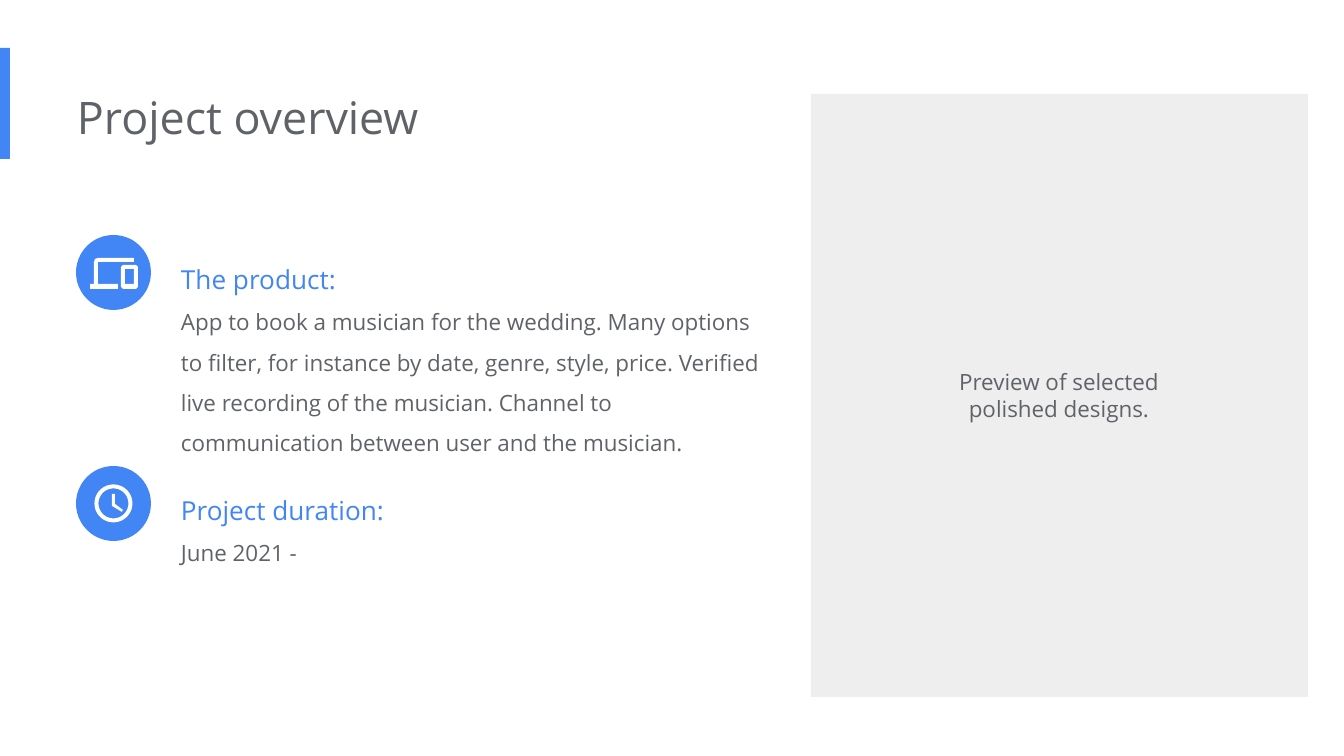
from math import cos, pi, sin

from pptx import Presentation
from pptx.dml.color import RGBColor
from pptx.enum.shapes import MSO_SHAPE
from pptx.enum.text import MSO_ANCHOR, MSO_AUTO_SIZE, PP_ALIGN
from pptx.util import Emu, Pt

RECTANGLE, OVAL = MSO_SHAPE.RECTANGLE, MSO_SHAPE.OVAL
LEFT, CENTER = PP_ALIGN.LEFT, PP_ALIGN.CENTER
TOP = MSO_ANCHOR.TOP
NO_AUTOFIT = MSO_AUTO_SIZE.NONE

EMU_PER_PX = 914400 / 134.4
FONT = "Open Sans"
COLORS = {
    "blue": "4285F4",
    "gray": "5F6368",
    "panel": "EEEEEE",
    "white": "FFFFFF",
}
INSET = 13
ICON_LEFT, ICON_SIZE = 76, 75
SECTION_LEFT = 181
PRODUCT_TOP, DURATION_TOP = 235, 466

LAPTOP = [(98, 262), (134, 262), (134, 258), (98, 258), (95, 259), (94, 262),
          (94, 284), (90, 284), (90, 289), (118, 289), (118, 284), (98, 284)]
PHONE = [(123, 265), (136, 265), (138, 267), (138, 287), (136, 289),
         (123, 289), (121, 287), (121, 267)]
PHONE_SCREEN = [(125, 269), (134, 269), (134, 284), (125, 284)]
CLOCK_HANDS = [(112, 494), (112, 506), (122, 512), (123, 510),
               (115, 504), (115, 494)]


def px(value):
    return Emu(round(value * EMU_PER_PX))


def color(name):
    return RGBColor.from_string(COLORS[name])


def paint(shape, fill):
    shape.shadow.inherit = False
    shape.fill.solid()
    shape.fill.fore_color.rgb = color(fill)
    shape.line.fill.background()


def add_block(slide, kind, box, fill):
    paint(slide.shapes.add_shape(kind, *map(px, box)), fill)


def circle(center_x, center_y, radius, steps=48):
    angles = [2 * pi * step / steps for step in range(steps)]
    return [(center_x + radius * cos(a), center_y + radius * sin(a))
            for a in angles]


def add_icon(slide, contours):
    """Draw one white shape; a contour inside another cuts a hole."""
    contours = [[(px(x), px(y)) for x, y in contour] for contour in contours]
    builder = slide.shapes.build_freeform(*contours[0][0])
    builder.add_line_segments(contours[0][1:], close=True)
    for contour in contours[1:]:
        builder.move_to(*contour[0])
        builder.add_line_segments(contour[1:], close=True)
    paint(builder.convert_to_shape(), "white")


def write(shape, lines, left_inset=0, align=LEFT, spacing=1.0):
    """Fill a shape with paragraphs given as (text, point size, color)."""
    frame = shape.text_frame
    settings = {
        "word_wrap": True,
        "auto_size": NO_AUTOFIT,
        "vertical_anchor": TOP,
        "margin_left": px(left_inset),
        "margin_top": px(INSET),
        "margin_right": px(INSET),
        "margin_bottom": px(INSET),
    }
    for name, value in settings.items():
        setattr(frame, name, value)
    for index, (text, size, color_name) in enumerate(lines):
        paragraph = frame.paragraphs[0] if index == 0 else frame.add_paragraph()
        paragraph.alignment = align
        paragraph.line_spacing = spacing
        run = paragraph.add_run()
        run.text = text
        for name, value in {"name": FONT, "size": Pt(size)}.items():
            setattr(run.font, name, value)
        run.font.color.rgb = color(color_name)


def add_title(slide, box, text):
    title = slide.shapes.title
    for name, value in zip(("left", "top", "width", "height"), box):
        setattr(title, name, px(value))
    write(title, [(text, 24, "gray")])


def add_section(slide, top, width, height, heading, body, icon):
    textbox = slide.shapes.add_textbox(
        *map(px, (SECTION_LEFT, top, width, height)))
    write(textbox, [(heading, 14, "blue"), (body, 12, "gray")], spacing=1.5)
    add_block(slide, OVAL, (ICON_LEFT, top, ICON_SIZE, ICON_SIZE), "blue")
    add_icon(slide, icon)


def main():
    presentation = Presentation()
    presentation.slide_width = px(1344)
    presentation.slide_height = px(756)
    slide = presentation.slides.add_slide(presentation.slide_layouts[5])

    add_block(slide, RECTANGLE, (0, 48, 10, 111), "blue")
    add_block(slide, RECTANGLE, (811, 94, 497, 603), "panel")
    add_title(slide, (77, 77, 905, 82), "Project overview")

    add_section(
        slide, PRODUCT_TOP, 601, 224, "The product:",
        "App to book a musician for the wedding. Many options to filter, "
        "for instance by date, genre, style, price. Verified live recording "
        "of the musician. Channel to communication between user and the "
        "musician.",
        [LAPTOP, PHONE, PHONE_SCREEN])
    clock_center = (ICON_LEFT + ICON_SIZE / 2, DURATION_TOP + ICON_SIZE / 2)
    add_section(
        slide, DURATION_TOP, 507, 102, "Project duration:", "June 2021 -",
        [circle(*clock_center, 19), circle(*clock_center, 15), CLOCK_HANDS])

    caption = slide.shapes.add_textbox(*map(px, (926, 355, 266, 82)))
    write(caption, [("Preview of selected polished designs.", 12, "gray")],
          left_inset=INSET, align=CENTER)

    presentation.save("out.pptx")


if __name__ == "__main__":
    main()
